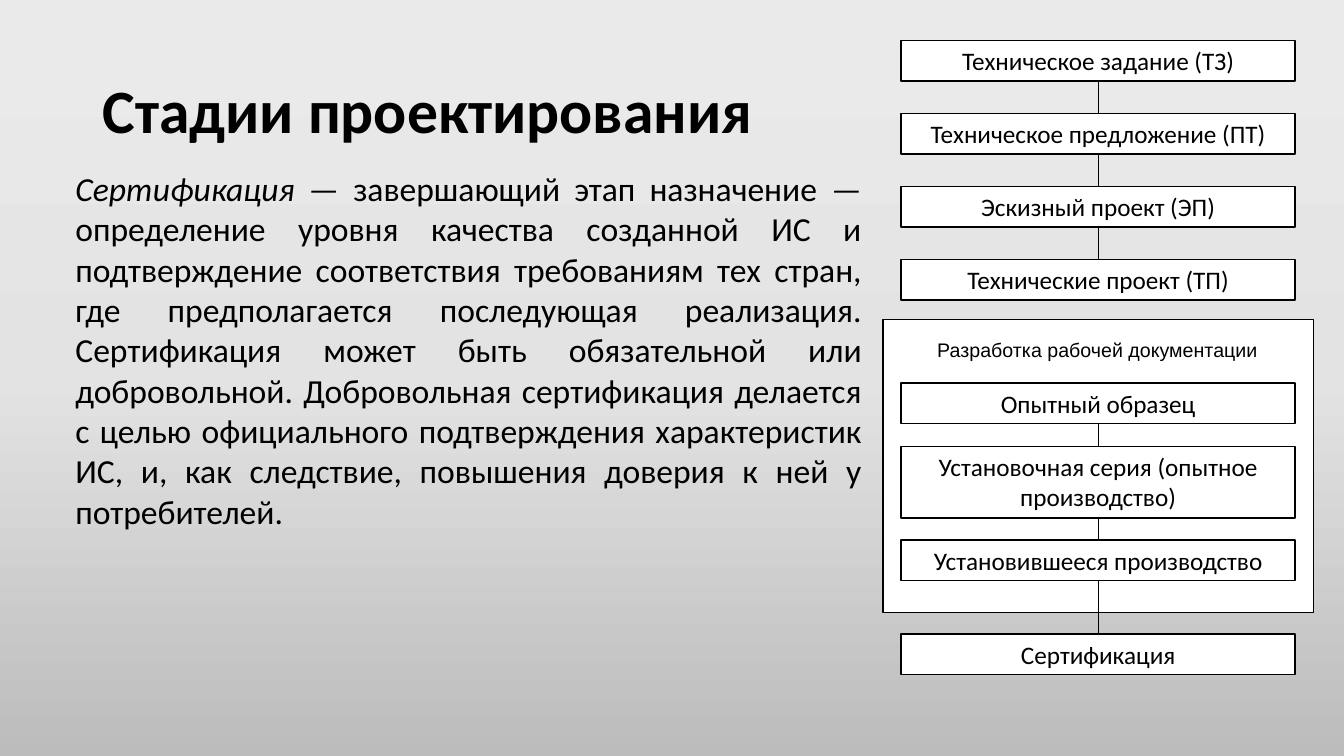
from copy import deepcopy
from dataclasses import dataclass

from lxml.etree import SubElement
from pptx import Presentation
from pptx.dml.color import RGBColor
from pptx.enum.shapes import MSO_CONNECTOR, MSO_SHAPE
from pptx.enum.text import MSO_ANCHOR, MSO_AUTO_SIZE, PP_ALIGN
from pptx.oxml.ns import qn
from pptx.util import Cm, Pt

BLACK = "000000"
WHITE = "FFFFFF"
STAGE_LEFT = 22.71
STAGE_WIDTH = 9.93
STAGE_HEIGHT = 1.02
FIRST_TOP = 1.02
STAGE_PITCH = 1.84


@dataclass
class Stage:
    text: str
    top: float
    height: float = STAGE_HEIGHT
    linked: bool = True


DESIGN_STAGES = [
    "Техническое задание (ТЗ)",
    "Техническое предложение (ПТ)",
    "Эскизный проект (ЭП)",
    "Технические проект (ТП)",
]
STAGES = [
    Stage(text, FIRST_TOP + STAGE_PITCH * index, linked=index > 0)
    for index, text in enumerate(DESIGN_STAGES)
] + [
    Stage("Опытный образец", 9.65, linked=False),
    Stage("Установочная серия (опытное производство)", 11.25, 1.8),
    Stage("Установившееся производство", 13.61),
    Stage("Сертификация", 15.98),
]

BODY_SPANS = [
    ("Сертификация — ", True),
    ("завершающий этап назначение ", False),
    ("— ", True),
    (
        "определение уровня качества созданной ИС и подтверждение "
        "соответствия требованиям тех стран, где предполагается "
        "последующая реализация. Сертификация может быть обязательной "
        "или добровольной. Добровольная сертификация делается с целью "
        "официального подтверждения характеристик ИС, и, как следствие, "
        "повышения доверия к ней у потребителей.",
        False,
    ),
]


def colour(value: str) -> RGBColor:
    return RGBColor.from_string(value)


def format_span(span, size: float, font: str = "Calibri",
                bold: bool = False, italic: bool = False) -> None:
    span.font.size = Pt(size)
    span.font.name = font
    span.font.bold = bold
    span.font.italic = italic
    span.font.color.rgb = colour(BLACK)


def paint_background(page) -> None:
    fill = page.background.fill
    fill.gradient()
    fill.gradient_angle = 270
    stop_list = page.element.find(".//" + qn("a:gsLst"))
    stop_list.insert(1, deepcopy(stop_list[0]))
    shades = [(0.04, "EBEAEA"), (0.5, "E4E3E3"), (1, "BDBCBC")]
    for stop, (position, shade) in zip(fill.gradient_stops, shades):
        stop.position = position
        stop.color.rgb = colour(shade)


def add_title(page) -> None:
    title = page.shapes.title
    title.left, title.top = Cm(2.34), Cm(1.02)
    title.width, title.height = Cm(29.21), Cm(3.68)
    frame = title.text_frame
    frame.text = "Стадии проектирования"
    frame.vertical_anchor = MSO_ANCHOR.MIDDLE
    para = frame.paragraphs[0]
    para.alignment = PP_ALIGN.LEFT
    para.line_spacing = 0.9
    format_span(para.runs[0], 44, bold=True)


def add_body(page) -> None:
    box = page.shapes.add_textbox(Cm(1.65), Cm(4.11), Cm(20.32), Cm(9.5))
    frame = box.text_frame
    frame.word_wrap = True
    frame.auto_size = MSO_AUTO_SIZE.SHAPE_TO_FIT_TEXT
    para = frame.paragraphs[0]
    para.alignment = PP_ALIGN.JUSTIFY
    for text, italic in BODY_SPANS:
        span = para.add_run()
        span.text = text
        format_span(span, 24, italic=italic)


def add_box(page, left: float, top: float, width: float, height: float):
    box = page.shapes.add_shape(
        MSO_SHAPE.RECTANGLE, Cm(left), Cm(top), Cm(width), Cm(height))
    box.shadow.inherit = False
    box.fill.solid()
    box.fill.fore_color.rgb = colour(WHITE)
    box.line.color.rgb = colour(BLACK)
    box.line.width = Pt(1)
    return box


def add_stage(page, stage: Stage):
    box = add_box(page, STAGE_LEFT, stage.top, STAGE_WIDTH, stage.height)
    frame = box.text_frame
    frame.text = stage.text
    frame.word_wrap = True
    frame.auto_size = MSO_AUTO_SIZE.SHAPE_TO_FIT_TEXT
    frame.vertical_anchor = MSO_ANCHOR.TOP
    para = frame.paragraphs[0]
    para.alignment = PP_ALIGN.CENTER
    format_span(para.runs[0], 18)
    return box


def add_panel_label(page) -> None:
    box = page.shapes.add_textbox(Cm(23.37), Cm(8.38), Cm(8.64), Cm(0.86))
    frame = box.text_frame
    frame.text = "Разработка рабочей документации"
    frame.word_wrap = False
    frame.auto_size = MSO_AUTO_SIZE.SHAPE_TO_FIT_TEXT
    format_span(frame.paragraphs[0].runs[0], 14, "Arial")


def link(page, upper, lower) -> None:
    line = page.shapes.add_connector(MSO_CONNECTOR.STRAIGHT, 0, 0, 0, 0)
    line.begin_connect(upper, 2)
    line.end_connect(lower, 0)
    line.line.color.rgb = colour(BLACK)
    line.line.width = Pt(0.5)
    SubElement(line.element.spPr, qn("a:effectLst"))


def main() -> None:
    deck = Presentation()
    deck.slide_width, deck.slide_height = Cm(33.87), Cm(19.05)
    page = deck.slides.add_slide(deck.slide_layouts[5])
    paint_background(page)
    add_title(page)
    add_body(page)
    add_box(page, 22.25, 8.05, 10.85, 7.39)
    boxes = [add_stage(page, stage) for stage in STAGES]
    add_panel_label(page)
    for upper, lower, stage in zip(boxes, boxes[1:], STAGES[1:]):
        if stage.linked:
            link(page, upper, lower)
    deck.save("out.pptx")


if __name__ == "__main__":
    main()
